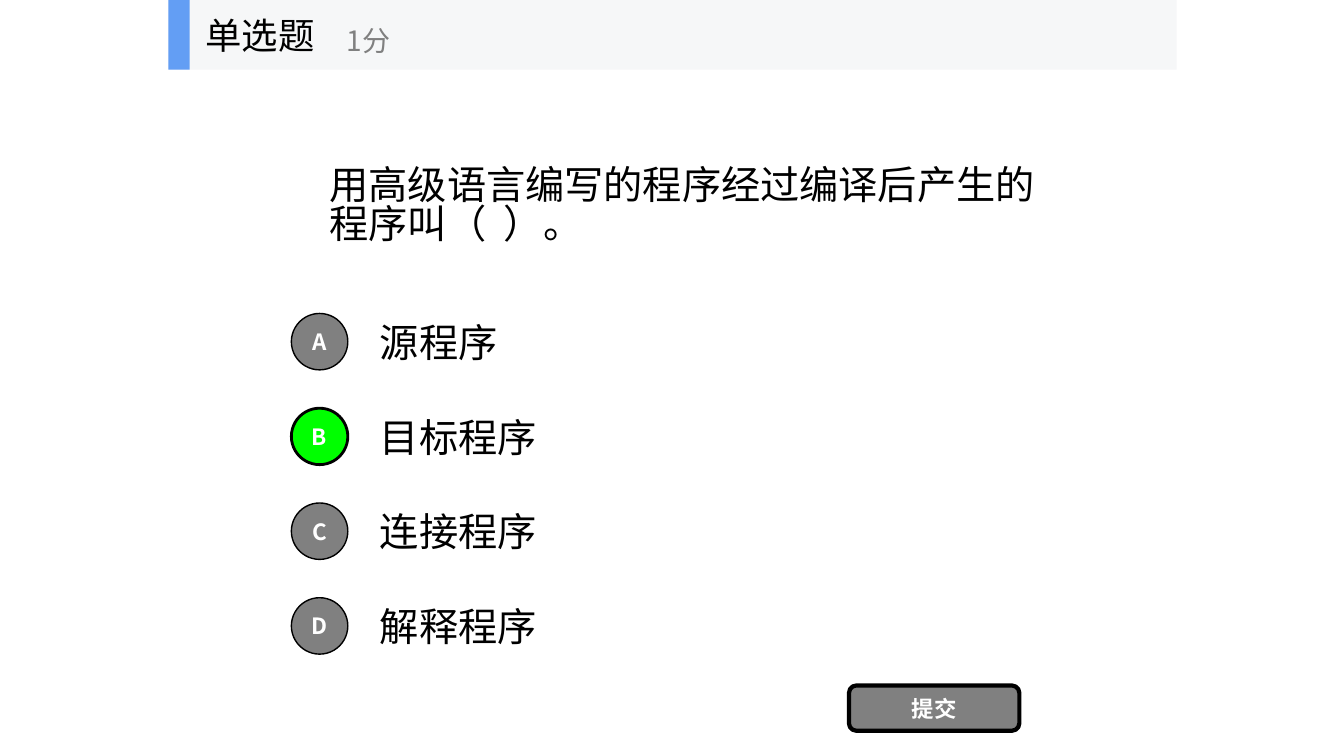
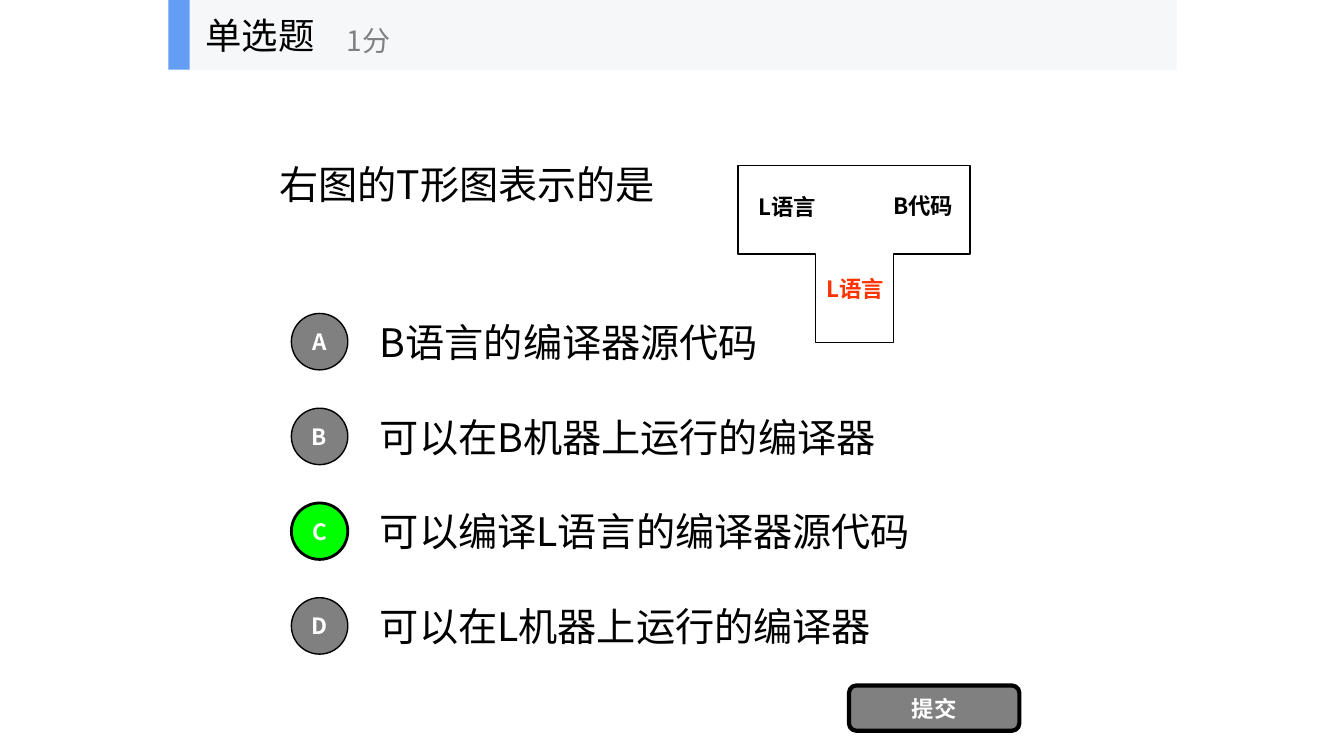
"""Build two single-choice quiz slides."""
from dataclasses import dataclass

from lxml import etree
from pptx import Presentation
from pptx.dml.color import RGBColor
from pptx.enum.shapes import MSO_SHAPE
from pptx.enum.text import MSO_ANCHOR, MSO_AUTO_SIZE, PP_ALIGN
from pptx.oxml.ns import qn
from pptx.util import Inches, Pt

RECTANGLE = MSO_SHAPE.RECTANGLE
ROUNDED = MSO_SHAPE.ROUNDED_RECTANGLE
OVAL = MSO_SHAPE.OVAL
MIDDLE = MSO_ANCHOR.MIDDLE
NO_AUTOFIT = MSO_AUTO_SIZE.NONE
LEFT = PP_ALIGN.LEFT
CENTER = PP_ALIGN.CENTER


@dataclass(frozen=True)
class Theme:
    """Colours, font and type sizes shared by the slides."""

    font: str = "Noto Sans CJK SC"
    black: RGBColor = RGBColor(0x00, 0x00, 0x00)
    white: RGBColor = RGBColor(0xFF, 0xFF, 0xFF)
    gray: RGBColor = RGBColor(0x80, 0x80, 0x80)
    green: RGBColor = RGBColor(0x00, 0xFF, 0x00)
    red: RGBColor = RGBColor(0xFF, 0x33, 0x00)
    band: RGBColor = RGBColor(0xF6, 0xF7, 0xF8)
    accent: RGBColor = RGBColor(0x63, 0x9E, 0xF4)
    body_size: int = 28
    header_size: int = 26
    score_size: int = 20
    label_size: int = 16


THEME = Theme()
TITLE_ONLY = 5
TITLE_LINE_SPACING = 0.83
HEADER_HEIGHT = 0.69
OPTION_TOP = 3.04
OPTION_PITCH = 0.94
OPTION_HEIGHT = 0.7
BADGE_SIZE = 0.56


def write_text(shape, text, size, color=THEME.black, bold=False, align=LEFT):
    """Write one vertically centred run and return its paragraph."""
    frame = shape.text_frame
    frame.auto_size = NO_AUTOFIT
    frame.vertical_anchor = MIDDLE
    frame.word_wrap = True
    paragraph = frame.paragraphs[0]
    paragraph.alignment = align
    run = paragraph.add_run()
    run.text = text
    font = run.font
    font.size = Pt(size)
    font.bold = bold
    font.color.rgb = color
    font.name = THEME.font
    east_asian = etree.SubElement(run._r.get_or_add_rPr(), qn("a:ea"))
    east_asian.set("typeface", THEME.font)
    return paragraph


def add_box(shapes, kind, bounds, fill, line_width=0):
    """Add a filled preset shape, outlined in black when a width is given."""
    shape = shapes.add_shape(kind, *map(Inches, bounds))
    style_outline(shape, fill, line_width)
    return shape


def style_outline(shape, fill, line_width):
    """Set the fill and line of a shape and remove its shadow."""
    shape.shadow.inherit = False
    shape.fill.solid()
    shape.fill.fore_color.rgb = fill
    if line_width:
        shape.line.color.rgb = THEME.black
        shape.line.width = Pt(line_width)
    else:
        shape.line.fill.background()


def add_label(shape, text, color=THEME.white):
    """Write a bold centred label into a shape without side margins."""
    write_text(shape, text, THEME.label_size, color, True, CENTER)
    frame = shape.text_frame
    frame.margin_left = frame.margin_right = 0
    frame.word_wrap = False


def add_text(shapes, bounds, text, size, color=THEME.black):
    """Add a plain text box."""
    write_text(shapes.add_textbox(*map(Inches, bounds)), text, size, color)


def add_header(slide):
    """Add the band with the question type and its score."""
    shapes = slide.shapes.add_group_shape().shapes
    add_box(shapes, RECTANGLE, (1.67, 0, 10, HEADER_HEIGHT), THEME.band)
    add_box(shapes, RECTANGLE, (1.67, 0, 0.21, HEADER_HEIGHT), THEME.accent)
    add_text(shapes, (1.94, 0, 2.08, HEADER_HEIGHT), "单选题", THEME.header_size)
    add_text(shapes, (3.34, 0.12, 2.5, 0.56), "1分", THEME.score_size, THEME.gray)


def set_question(slide, text, top, height, indent):
    """Place and format the title placeholder as the question."""
    title = slide.shapes.title
    title.left, title.top, title.width, title.height = map(
        Inches, (2.67, top, 8, height))
    paragraph = write_text(title, text, THEME.body_size)
    paragraph.line_spacing = TITLE_LINE_SPACING
    properties = paragraph._p.get_or_add_pPr()
    properties.set("marL", str(Inches(indent)))
    properties.set("indent", "0")


def add_options(slide, options, answer):
    """Add lettered options and highlight the answer."""
    inset = (OPTION_HEIGHT - BADGE_SIZE) / 2
    for index, (letter, option) in enumerate(zip("ABCD", options)):
        top = OPTION_TOP + index * OPTION_PITCH
        add_text(slide.shapes, (3.67, top, 7, OPTION_HEIGHT), option, THEME.body_size)
        fill, line_width = (THEME.green, 2) if letter == answer else (THEME.gray, 1)
        badge = add_box(slide.shapes, OVAL,
                        (2.89, top + inset, BADGE_SIZE, BADGE_SIZE), fill, line_width)
        add_label(badge, letter)


def add_submit_button(slide):
    """Add the submit button."""
    button = add_box(slide.shapes, ROUNDED, (8.42, 6.8, 1.69, 0.45), THEME.gray, 3)
    add_label(button, "提交")


def add_t_diagram(slide):
    """Add the T diagram of a compiler with its three languages."""
    shapes = slide.shapes.add_group_shape().shapes
    left, stem_left, stem_right, right = 7.32, 8.09, 8.86, 9.62
    top, shoulder, bottom = 1.64, 2.52, 3.4
    corners = [(right, top), (right, shoulder), (stem_right, shoulder),
               (stem_right, bottom), (stem_left, bottom), (stem_left, shoulder),
               (left, shoulder)]
    builder = shapes.build_freeform(Inches(left), Inches(top))
    builder.add_line_segments(
        [(Inches(x), Inches(y)) for x, y in corners], close=True)
    style_outline(builder.convert_to_shape(), THEME.white, 1)
    labels = (
        ("B代码", (8.81, 1.78, 0.69, 0.52), THEME.black),
        ("L语言", (8.15, 2.47, 0.66, 0.79), THEME.red),
        ("L语言", (7.48, 1.67, 0.66, 0.76), THEME.black),
    )
    for text, bounds, color in labels:
        add_label(add_box(shapes, RECTANGLE, bounds, THEME.white), text, color)


def add_quiz_slide(presentation, question, options, answer, top, height, indent=0):
    """Add a complete single-choice slide."""
    slide = presentation.slides.add_slide(presentation.slide_layouts[TITLE_ONLY])
    set_question(slide, question, top, height, indent)
    add_options(slide, options, answer)
    add_submit_button(slide)
    add_header(slide)
    return slide


def main():
    """Build and save the presentation."""
    presentation = Presentation()
    presentation.slide_width = Inches(13.33)
    presentation.slide_height = Inches(7.5)
    add_quiz_slide(
        presentation, "用高级语言编写的程序经过编译后产生的程序叫（  ）。",
        ("源程序", "目标程序", "连接程序", "解释程序"),
        answer="B", top=1.23, height=1.65, indent=0.5)
    diagram_slide = add_quiz_slide(
        presentation, "右图的T形图表示的是",
        ("B语言的编译器源代码", "可以在B机器上运行的编译器",
         "可以编译L语言的编译器源代码", "可以在L机器上运行的编译器"),
        answer="C", top=0.69, height=2.34)
    add_t_diagram(diagram_slide)
    presentation.save("out.pptx")


if __name__ == "__main__":
    main()
